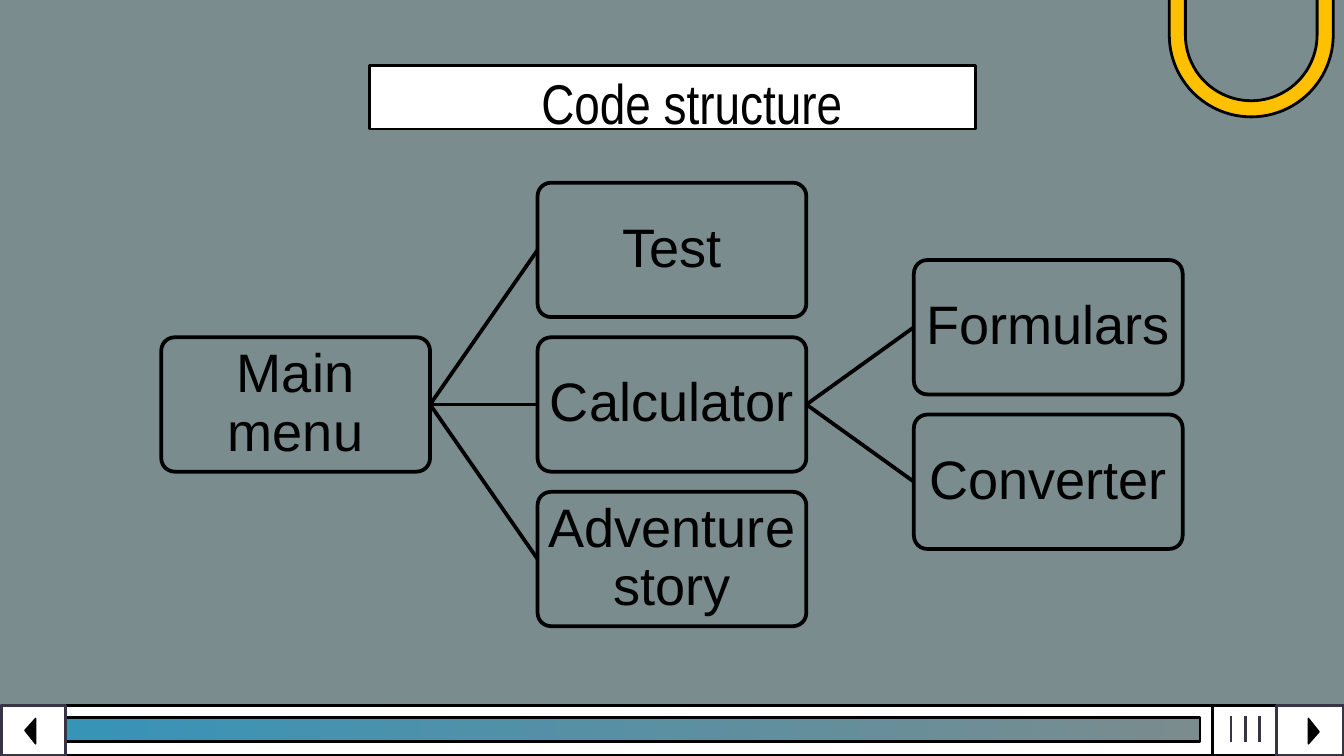
import math

from lxml import etree
from pptx import Presentation
from pptx import util as u
from pptx.dml.color import RGBColor
from pptx.enum import shapes, text
from pptx.oxml import ns

COLOURS = {
    "background": "7A8C8E",
    "ink": "000000",
    "paper": "FFFFFF",
    "frame": "373545",
    "blue": "3494BA",
    "clip": "FFC000",
}
SHAPE = shapes.MSO_SHAPE

# Widescreen slide, 16 to 9
SLIDE_WIDTH = 10
SLIDE_HEIGHT = SLIDE_WIDTH * 9 / 16

# Diagram grid: left and top of the first cell, step between cells, cell size
GRID_LEFT, GRID_TOP = 1.2, 1.36
COLUMN_STEP, ROW_STEP = 2.8, 1.15
BOX_WIDTH, BOX_HEIGHT = 2, 1

BAR_TOP, BAR_HEIGHT = 5.25, 0.37

# Label: (column, row)
NODES = {
    "Main menu": (0, 1),
    "Test": (1, 0),
    "Calculator": (1, 1),
    "Adventure story": (1, 2),
    "Formulars": (2, 0.5),
    "Converter": (2, 1.5),
}
CHILDREN = {
    "Main menu": ["Test", "Calculator", "Adventure story"],
    "Calculator": ["Formulars", "Converter"],
}


def colour(name):
    return RGBColor.from_string(COLOURS[name])


def style(shape, fill, line="ink", width=1.5):
    shape.shadow.inherit = False
    shape.fill.solid()
    shape.fill.fore_color.rgb = colour(fill)
    shape.line.color.rgb = colour(line)
    shape.line.width = u.Pt(width)


def add_box(slide, kind, left, top, width, height, fill, line="ink", weight=1.5):
    shape = slide.shapes.add_shape(
        kind, u.Inches(left), u.Inches(top), u.Inches(width), u.Inches(height))
    style(shape, fill, line, weight)
    return shape


def add_line(slide, start, end, line="ink", width=1.5):
    connector = slide.shapes.add_connector(
        shapes.MSO_CONNECTOR.STRAIGHT, *(u.Inches(value) for value in (*start, *end)))
    connector.line.color.rgb = colour(line)
    connector.line.width = u.Pt(width)
    etree.SubElement(connector._element.spPr, ns.qn("a:effectLst"))
    return connector


def set_text(shape, words, font, size, inset):
    frame = shape.text_frame
    frame.word_wrap = True
    frame.margin_left = frame.margin_right = u.Inches(inset)
    frame.margin_top = frame.margin_bottom = u.Inches(inset)
    paragraph = frame.paragraphs[0]
    paragraph.text = words
    paragraph.font.name = font
    paragraph.font.size = u.Pt(size)
    paragraph.font.color.rgb = colour("ink")
    return frame, paragraph


def add_title(slide):
    add_box(slide, SHAPE.RECTANGLE, 2.75, 0.49, 4.51, 0.47, "paper")
    title = slide.shapes.add_textbox(
        u.Inches(3.93), u.Inches(0.41), u.Inches(6.84), u.Inches(0.63))
    set_text(title, "Code structure", "Arial Narrow", 30, 0.1)


def add_node(slide, label, column, row):
    node = add_box(
        slide, SHAPE.ROUNDED_RECTANGLE,
        GRID_LEFT + column * COLUMN_STEP, GRID_TOP + row * ROW_STEP,
        BOX_WIDTH, BOX_HEIGHT, "background", weight=2)
    node.adjustments[0] = 0.1
    frame, paragraph = set_text(node, label, "Arial", 29, 0.02)
    frame.vertical_anchor = text.MSO_ANCHOR.MIDDLE
    paragraph.alignment = text.PP_ALIGN.CENTER
    paragraph.line_spacing = 0.9
    return node


def add_branch(slide, parent, child):
    connector = add_line(slide, (0, 0), (0, 0), width=2)
    connector.begin_connect(parent, 3)
    connector.end_connect(child, 1)


def add_arrow_button(slide, left, width, arrow_left, rotation):
    add_box(slide, SHAPE.RECTANGLE, left, BAR_TOP, width, BAR_HEIGHT, "paper", "frame")
    arrow = add_box(slide, SHAPE.ISOSCELES_TRIANGLE, arrow_left, 5.4, 0.19, 0.08,
                    "ink", weight=0.75)
    arrow.adjustments[0] = 0.53
    arrow.rotation = rotation


def add_scroll_bar(slide):
    add_box(slide, SHAPE.RECTANGLE, 0.01, BAR_TOP, 9.98, BAR_HEIGHT, "paper")

    # Gradient track
    track = add_box(slide, SHAPE.RECTANGLE, 0.1, 5.34, 8.83, 0.18, "blue")
    track.fill.gradient()
    track.fill.gradient_angle = 180
    for stop, name in zip(track.fill.gradient_stops, ("background", "blue")):
        stop.color.rgb = colour(name)

    # Grip with three bars
    add_box(slide, SHAPE.RECTANGLE, 9.02, BAR_TOP, 0.48, BAR_HEIGHT, "paper")
    for index in range(3):
        x = 9.16 + index * 0.21 / 2
        add_line(slide, (x, 5.33), (x, 5.52), "frame")

    add_arrow_button(slide, 0.01, 0.48, 0.13, 270)
    add_arrow_button(slide, 9.5, 0.5, 9.68, 90)


def half_circle(centre_x, centre_y, radius, steps=48):
    """Points from the right end through the bottom to the left end."""
    angles = (math.pi * step / steps for step in range(steps + 1))
    return [(centre_x + radius * math.cos(angle), centre_y + radius * math.sin(angle))
            for angle in angles]


def add_clip(slide):
    centre_x, centre_y, top, outer, inner = 9.31, 0.26, -1.34, 0.61, 0.49
    points = [(centre_x + inner, top)]
    points += half_circle(centre_x, centre_y, inner)
    points += [(centre_x - inner, top), (centre_x - outer, top)]
    points += reversed(half_circle(centre_x, centre_y, outer))
    points += [(centre_x + outer, top)]
    corners = [(u.Inches(x), u.Inches(y)) for x, y in points]
    builder = slide.shapes.build_freeform(*corners[0])
    builder.add_line_segments(corners[1:], close=True)
    style(builder.convert_to_shape(), "clip")


def main():
    presentation = Presentation()
    presentation.slide_width = u.Inches(SLIDE_WIDTH)
    presentation.slide_height = u.Inches(SLIDE_HEIGHT)
    slide = presentation.slides.add_slide(presentation.slide_layouts[6])
    slide.background.fill.solid()
    slide.background.fill.fore_color.rgb = colour("background")

    add_scroll_bar(slide)
    add_title(slide)

    # Code structure tree
    nodes = {label: add_node(slide, label, *cell) for label, cell in NODES.items()}
    for parent, children in CHILDREN.items():
        for child in children:
            add_branch(slide, nodes[parent], nodes[child])

    add_clip(slide)
    presentation.save("out.pptx")


if __name__ == "__main__":
    main()
